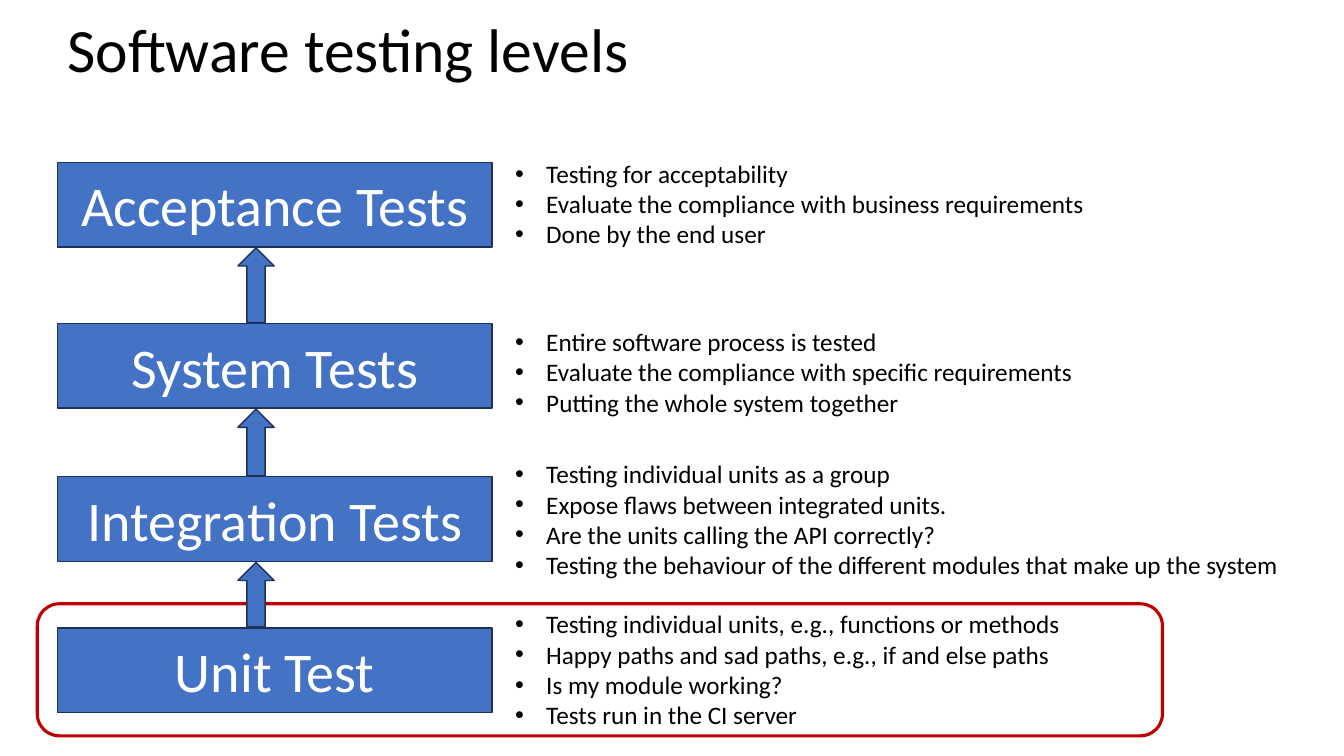
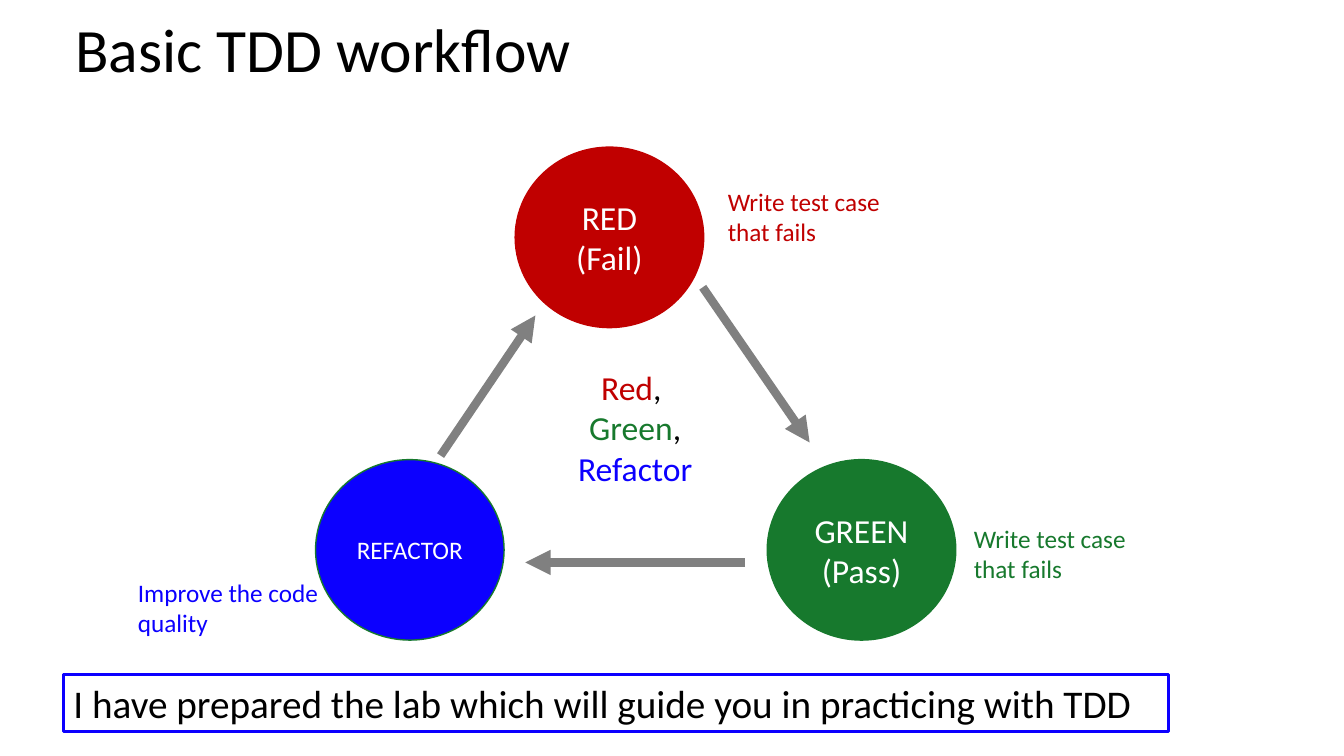
"""Build two slides: software testing levels and the basic TDD workflow."""
from dataclasses import dataclass
from itertools import pairwise

from lxml.etree import SubElement
from pptx import Presentation
from pptx.dml.color import RGBColor
from pptx.enum.shapes import MSO_CONNECTOR, MSO_SHAPE
from pptx.enum.text import MSO_ANCHOR, PP_ALIGN
from pptx.oxml.ns import qn
from pptx.util import Pt


@dataclass(frozen=True)
class Theme:
    font: str = "Calibri"
    bullet_font: str = "Arial"
    black: str = "000000"
    white: str = "FFFFFF"
    box: str = "4472C4"
    box_line: str = "1E3256"
    red: str = "C00000"
    green: str = "17792D"
    blue: str = "0C00FF"
    arrow: str = "808080"
    title: int = 44
    level: int = 40
    banner: int = 28
    step: int = 24
    note: int = 18
    thin: float = 1
    frame: float = 2.25
    thick: float = 6


T = Theme()
EMU_PER_PX = 9144
SLIDE_W, SLIDE_H = 1333, 750

LEVELS_TITLE = "Software testing levels"
LEVELS = [
    ("Acceptance Tests", 161, 152, 790, [
        "Testing for acceptability",
        "Evaluate the compliance with business requirements",
        "Done by the end user"]),
    ("System Tests", 321, 319, 790, [
        "Entire software process is tested",
        "Evaluate the compliance with specific requirements",
        "Putting the whole system together"]),
    ("Integration Tests", 473, 450, 790, [
        "Testing individual units as a group",
        "Expose flaws between integrated units.",
        "Are the units calling the API correctly?",
        "Testing the behaviour of the different modules that make up the system"]),
    ("Unit Test", 623, 599, 733, [
        "Testing individual units, e.g., functions or methods",
        "Happy paths and sad paths, e.g., if and else paths",
        "Is my module working?",
        "Tests run in the CI server"]),
]
LEVEL_X, LEVEL_W, LEVEL_H = 57, 431, 84
NOTES_X, NOTE_LINE, NOTE_PAD, NOTE_INDENT = 501, 30, 11, 31
ARROW_X, ARROW_W, ARROW_GAP = 236, 36, 1
FRAME = (37, 599, 1116, 131)

TDD_TITLE = "Basic TDD workflow"
STEPS = [
    (["RED", "(Fail)"], T.step, T.red, T.red, (511, 146),
     "Write test case that fails", (712, 180)),
    (["GREEN", "(Pass)"], T.step, T.green, T.green, (761, 456),
     "Write test case that fails", (956, 514)),
    (["REFACTOR"], T.note, T.blue, T.green, (313, 456),
     "Improve the code quality", (127, 568)),
]
CIRCLE_SIZE, CAPTION_SIZE = (187, 179), (203, 71)
ARROWS = [((437, 452), (531, 313)), ((697, 285), (803, 439)), ((739, 558), (521, 558))]
MANTRA = [
    [("Red", T.red), (", ", T.black)],
    [("Green", T.green), (",", T.black)],
    [("Refactor", T.blue)],
]
MANTRA_AT = (552, 359, 156, 131)
BANNER = "I have prepared the lab which will guide you in practicing with TDD"
BANNER_AT = (63, 669, 1096, 57)


def px(*values):
    return [v * EMU_PER_PX for v in values]


def rgb(color):
    return RGBColor.from_string(color)


def add_bullet(p):
    indent = NOTE_INDENT * EMU_PER_PX
    pr = p._p.get_or_add_pPr()
    pr.set("marL", str(indent))
    pr.set("indent", str(-indent))
    SubElement(pr, qn("a:buFont")).set("typeface", T.bullet_font)
    SubElement(pr, qn("a:buChar")).set("char", "•")


def write(sp, lines, size, color=T.black, align=PP_ALIGN.LEFT,
          anchor=MSO_ANCHOR.TOP, bullet=False, spacing=None):
    """Write lines, each a string or a list of (text, color) runs."""
    tf = sp.text_frame
    tf.word_wrap = True
    tf.vertical_anchor = anchor
    for i, line in enumerate(lines):
        p = tf.paragraphs[0] if i == 0 else tf.add_paragraph()
        p.alignment = align
        p.line_spacing = spacing
        if bullet:
            add_bullet(p)
        p.font.name, p.font.size = T.font, Pt(size)
        if isinstance(line, str):
            p.font.color.rgb = rgb(color)
            p.add_run().text = line
            continue
        for text, run_color in line:
            r = p.add_run()
            r.text = text
            r.font.color.rgb = rgb(run_color)


def add_text(s, at, lines, size, **style):
    write(s.shapes.add_textbox(*px(*at)), lines, size, **style)


def add_shape(s, kind, at, fill, line, width=T.thin):
    sp = s.shapes.add_shape(kind, *px(*at))
    sp.shadow.inherit = False
    if fill:
        sp.fill.solid()
        sp.fill.fore_color.rgb = rgb(fill)
    else:
        sp.fill.background()
    sp.line.color.rgb = rgb(line)
    sp.line.width = Pt(width)
    return sp


def add_arrow(s, start, end):
    cx = s.shapes.add_connector(MSO_CONNECTOR.STRAIGHT, *px(*start, *end))
    cx.line.color.rgb = rgb(T.arrow)
    cx.line.width = Pt(T.thick)
    SubElement(cx.line._get_or_add_ln(), qn("a:tailEnd")).set("type", "triangle")
    SubElement(cx._element.spPr, qn("a:effectLst"))


def add_slide(prs, title, left):
    s = prs.slides.add_slide(prs.slide_layouts[6])
    add_text(s, (left, 0, 1150, 104), [title], T.title,
             anchor=MSO_ANCHOR.MIDDLE, spacing=0.9)
    return s


def build_levels(prs):
    s = add_slide(prs, LEVELS_TITLE, 57)
    for name, top, notes_top, notes_w, notes in LEVELS:
        box = add_shape(s, MSO_SHAPE.RECTANGLE, (LEVEL_X, top, LEVEL_W, LEVEL_H),
                        T.box, T.box_line)
        write(box, [name], T.level, T.white, PP_ALIGN.CENTER, MSO_ANCHOR.MIDDLE)
        notes_h = NOTE_LINE * len(notes) + NOTE_PAD
        add_text(s, (NOTES_X, notes_top, notes_w, notes_h), notes, T.note, bullet=True)
    add_shape(s, MSO_SHAPE.ROUNDED_RECTANGLE, FRAME, None, T.red, T.frame)
    for upper, lower in pairwise(level[1] for level in LEVELS):
        top = upper + LEVEL_H + ARROW_GAP
        add_shape(s, MSO_SHAPE.UP_ARROW, (ARROW_X, top, ARROW_W, lower - ARROW_GAP - top),
                  T.box, T.box_line)


def build_workflow(prs):
    s = add_slide(prs, TDD_TITLE, 65)
    add_text(s, MANTRA_AT, MANTRA, T.step, align=PP_ALIGN.CENTER)
    for label, size, color, line, at, caption, caption_at in STEPS:
        circle = add_shape(s, MSO_SHAPE.OVAL, at + CIRCLE_SIZE, color, line)
        write(circle, label, size, T.white, PP_ALIGN.CENTER, MSO_ANCHOR.MIDDLE)
        add_text(s, caption_at + CAPTION_SIZE, [caption], T.note, color=color)
    for start, end in ARROWS:
        add_arrow(s, start, end)
    banner = add_shape(s, MSO_SHAPE.RECTANGLE, BANNER_AT, None, T.blue, T.frame)
    write(banner, [BANNER], T.banner)


def main():
    prs = Presentation()
    prs.slide_width, prs.slide_height = px(SLIDE_W, SLIDE_H)
    build_levels(prs)
    build_workflow(prs)
    prs.save("out.pptx")


if __name__ == "__main__":
    main()
